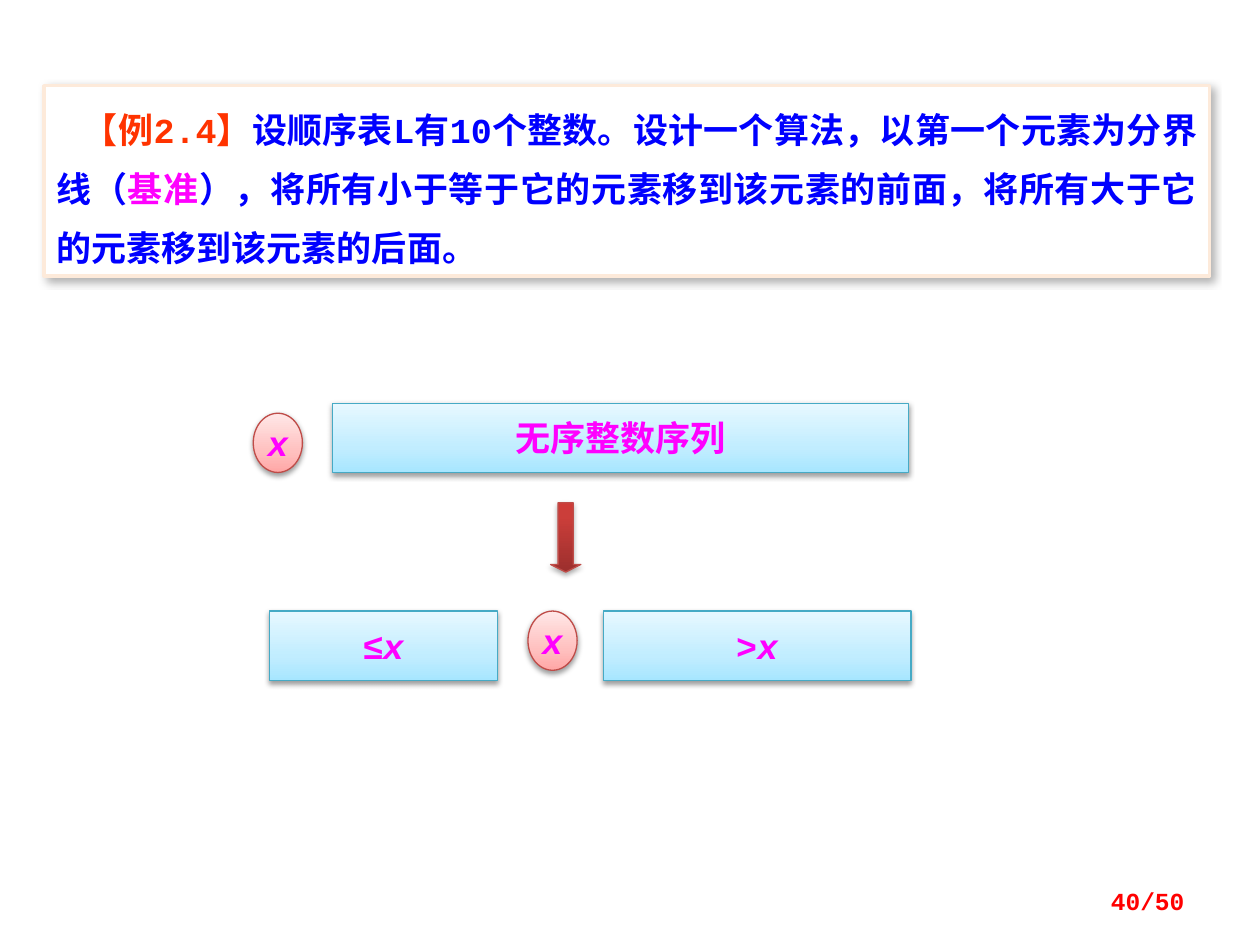
from lxml.etree import SubElement
from pptx import Presentation
from pptx.dml.color import RGBColor
from pptx.enum.shapes import MSO_SHAPE as Shape
from pptx.enum.text import MSO_ANCHOR as Anchor, PP_ALIGN as Align
from pptx.oxml.ns import qn
from pptx.util import Inches, Pt

MONO, SANS = "Courier New", "Arial"
MAGENTA, BLUE, ORANGE, RED = "FF00FF", "0000FF", "FF3300", "FF0000"

PROBLEM = [
    ("【例2.4】", ORANGE),
    ("设顺序表L有10个整数。设计一个算法，以第一个元素为分界线（", BLUE),
    ("基准", MAGENTA),
    ("），将所有小于等于它的元素移到该元素的前面，将所有大于它的元素移到该元素的后面。", BLUE),
]

# Gradient stops run from bottom to top
STYLES = {
    "sequence": dict(line="46AAC5", opacity=38,
                     stops=[(0, "A7E6FF"), (35, "C1EDFF"), (100, "E7F8FF")]),
    "pivot": dict(line="BF4C48", opacity=38,
                  stops=[(0, "FFA6A5"), (35, "FFC0BF"), (100, "FFE7E7")]),
    "arrow": dict(line="BF4C48", opacity=35,
                  stops=[(0, "9C2F2D"), (80, "CB3E3A"), (100, "CE3B37")]),
}

BAR_HEIGHT = 0.55
PIVOT_SIZE = (0.39, 0.47)
BEFORE, STEP, AFTER = 3.2, 3.99, 4.85  # tops of the three rows

# left, top, width, runs of (text, font, italic)
BARS = [
    (2.64, BEFORE, 4.57, [("无序整数序列", MONO, False)]),
    (2.14, AFTER, 1.81, [("≤", SANS, False), ("x", MONO, True)]),
    (4.79, AFTER, 2.44, [(">", MONO, False), ("x", MONO, True)]),
]
PIVOTS = [(2.01, BEFORE + BAR_HEIGHT - PIVOT_SIZE[1]), (4.19, AFTER)]


def rgb(color):
    return RGBColor.from_string(color)


def add_color(parent, color, opacity=100):
    element = SubElement(parent, qn("a:srgbClr"), val=color)
    if opacity < 100:
        SubElement(element, qn("a:alpha"), val=str(opacity * 1000))


def add_shadow(shape, opacity, blur, distance, angle):
    shape.shadow.inherit = False
    effects = shape._element.spPr.find(qn("a:effectLst"))
    shadow = SubElement(effects, qn("a:outerShdw"), blurRad=str(Pt(blur)),
                        dist=str(Pt(distance)), dir=str(angle * 60000),
                        algn="ctr", rotWithShape="0")
    add_color(shadow, "000000", opacity)


def set_gradient(shape, stops):
    shape.fill.gradient()
    shape.fill.gradient_angle = 90
    stop_list = shape._element.spPr.find(qn("a:gradFill")).find(qn("a:gsLst"))
    for stop in list(stop_list):
        stop_list.remove(stop)
    for position, color in stops:
        add_color(SubElement(stop_list, qn("a:gs"), pos=str(position * 1000)), color)


def add_outlined(page, preset, left, top, width, height, line, weight):
    shape = page.shapes.add_shape(
        preset, Inches(left), Inches(top), Inches(width), Inches(height))
    shape.line.color.rgb = rgb(line)
    shape.line.width = Pt(weight)
    return shape


def add_part(page, preset, style, left, top, width, height, runs=()):
    """Add one gradient-filled part of the diagram with its centred label."""
    look = STYLES[style]
    shape = add_outlined(page, preset, left, top, width, height, look["line"], 0.75)
    set_gradient(shape, look["stops"])
    add_shadow(shape, look["opacity"], 3.1, 1.6, 90)
    frame = shape.text_frame
    frame.word_wrap = False
    frame.vertical_anchor = Anchor.MIDDLE
    para = frame.paragraphs[0]
    para.alignment = Align.CENTER
    for text, font, italic in runs:
        span = para.add_run()
        span.text = text
        span.font.name, span.font.size = font, Pt(20)
        span.font.bold, span.font.italic = True, italic
        span.font.color.rgb = rgb(MAGENTA)
    return shape


def add_problem(page):
    box = add_outlined(page, Shape.RECTANGLE, 0.35, 0.68, 9.25, 1.51, "FDEADA", 2)
    box.fill.solid()
    box.fill.fore_color.rgb = rgb("FFFFFF")
    add_shadow(box, 30, 4.5, 2.6, 53)
    frame = box.text_frame
    frame.word_wrap = True
    frame.vertical_anchor = Anchor.TOP
    para = frame.paragraphs[0]
    para.alignment = Align.JUSTIFY
    para.line_spacing = 1.4
    para._p.get_or_add_pPr().set("indent", str(Inches(0.21)))
    para.font.name, para.font.size, para.font.bold = MONO, Pt(20), True
    for text, color in PROBLEM:
        span = para.add_run()
        span.text = text
        span.font.color.rgb = rgb(color)


def add_page_number(page, text):
    box = page.shapes.add_textbox(Inches(7.17), Inches(6.95), Inches(2.33), Inches(0.4))
    frame = box.text_frame
    frame.word_wrap = True
    frame.vertical_anchor = Anchor.MIDDLE
    para = frame.paragraphs[0]
    para.text = text
    para.alignment = Align.RIGHT
    para.font.name, para.font.size, para.font.bold = MONO, Pt(14), True
    para.font.color.rgb = rgb(RED)


def main():
    deck = Presentation()
    deck.slide_width, deck.slide_height = Inches(10), Inches(7.5)
    page = deck.slides.add_slide(deck.slide_layouts[6])
    add_problem(page)
    for left, top, width, runs in BARS:
        add_part(page, Shape.RECTANGLE, "sequence", left, top, width, BAR_HEIGHT, runs)
    for left, top in PIVOTS:
        add_part(page, Shape.OVAL, "pivot", left, top, *PIVOT_SIZE, [("x", MONO, True)])
    arrow = add_part(page, Shape.DOWN_ARROW, "arrow", 4.37, STEP, 0.24, BAR_HEIGHT)
    arrow.adjustments[0], arrow.adjustments[1] = 0.5, 0.25
    add_page_number(page, "40/50")
    deck.save("out.pptx")


if __name__ == "__main__":
    main()
